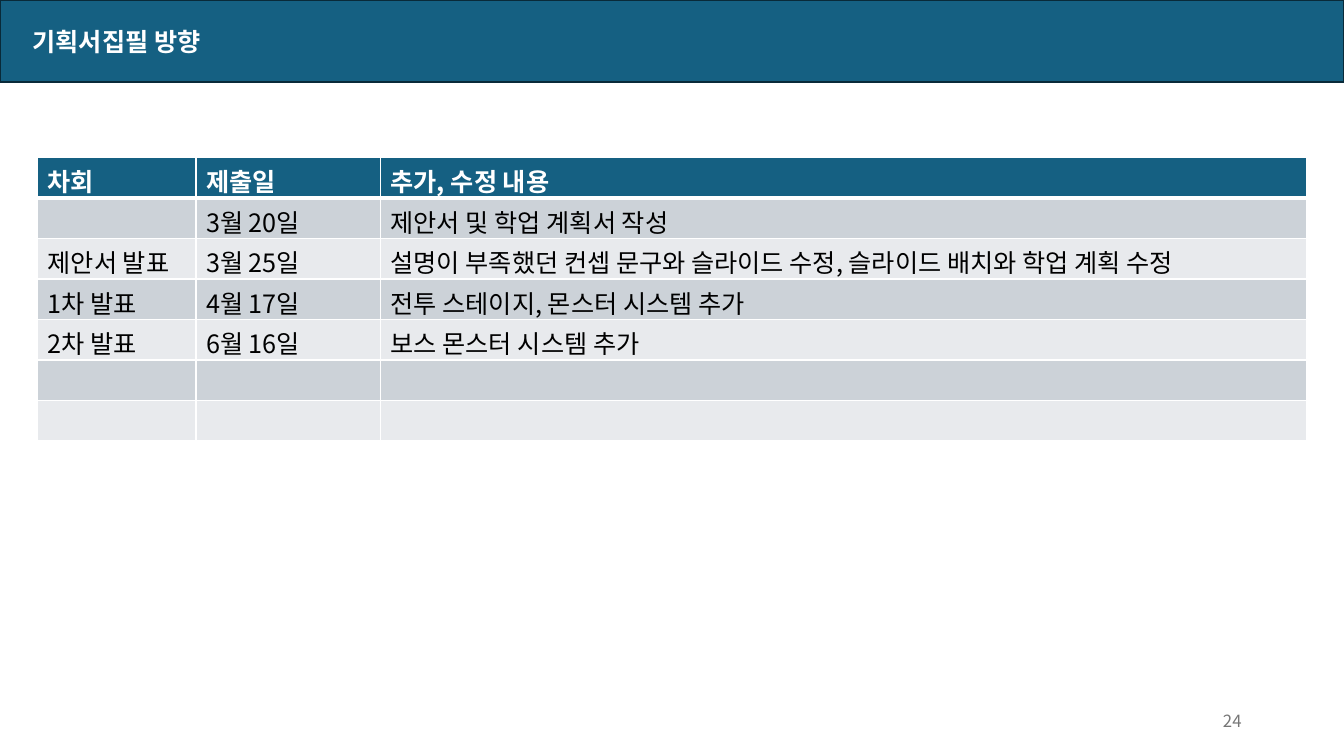
"""Build the proposal-writing direction slide with its revision table."""
from pptx import Presentation
from pptx.dml.color import RGBColor as RGB
from pptx.enum.shapes import MSO_SHAPE as SHAPE
from pptx.enum.text import MSO_ANCHOR as ANCHOR, PP_ALIGN as ALIGN
from pptx.oxml.ns import qn
from pptx.util import Cm, Pt
from lxml.etree import SubElement

FONT = "Noto Sans CJK KR"
TEAL, WHITE, BLACK = "156082", "FFFFFF", "000000"
BANDS = ["CCD2D8", "E8EAED"]


def color(value):
    return RGB.from_string(value)


def write(p, text, fill, **formats):
    if text:
        r = p.add_run()
        r.text = text
        r.font.color.rgb = color(fill)
        for name, value in formats.items():
            setattr(r.font, name, value)
        props = r.font._element
    else:
        props = SubElement(p._p, qn("a:endParaRPr"), sz=str(int(formats["size"].pt * 100)))
        SubElement(props, qn("a:latin"), typeface=FONT)
    SubElement(props, qn("a:ea"), typeface=FONT)


prs = Presentation()
prs.slide_width, prs.slide_height = Cm(33.87), Cm(19.05)
s = prs.slides.add_slide(prs.slide_layouts[6])

sp = s.shapes.add_textbox(Cm(23.92), Cm(17.66), Cm(7.62), Cm(1.01))
tf = sp.text_frame
tf.word_wrap = True
tf.vertical_anchor = ANCHOR.MIDDLE
p = tf.paragraphs[0]
p.alignment = ALIGN.RIGHT
write(p, "24", "767676", size=Pt(12), name=FONT)

sp = s.shapes.add_shape(SHAPE.RECTANGLE, 0, 0, prs.slide_width, Cm(2.07))
sp.shadow.inherit = False
sp.fill.solid()
sp.fill.fore_color.rgb = color(TEAL)
sp.line.color.rgb = color("092A39")
sp.line.width = Pt(1.5)
tf = sp.text_frame
tf.margin_left = Cm(0.82)
tf.vertical_anchor = ANCHOR.MIDDLE
p = tf.paragraphs[0]
p.alignment = ALIGN.LEFT
write(p, "기획서집필 방향", WHITE, size=Pt(18), name="Arial", bold=True)

rows = [
    ("차회", "제출일", "추가, 수정 내용"),
    ("", "3월 20일", "제안서 및 학업 계획서 작성"),
    ("제안서 발표", "3월 25일", "설명이 부족했던 컨셉 문구와 슬라이드 수정, 슬라이드 배치와 학업 계획 수정"),
    ("1차 발표", "4월 17일", "전투 스테이지, 몬스터 시스템 추가"),
    ("2차 발표", "6월 16일", "보스 몬스터 시스템 추가"),
    ("", "", ""),
    ("", "", ""),
]
widths = [3.99, 4.65, 23.34]
row_height = Cm(1.02)
table = s.shapes.add_table(len(rows), len(widths), Cm(0.95), Cm(3.97),
                           Cm(sum(widths)), row_height * len(rows)).table
for column, width in zip(table.columns, widths):
    column.width = Cm(width)

for i, row in enumerate(rows):
    table.rows[i].height = row_height
    header = i == 0
    for j, text in enumerate(row):
        cell = table.cell(i, j)
        tcPr = cell._tc.get_or_add_tcPr()
        for side in "LRTB":
            thick = (header and side == "B") or (i == 1 and side == "T")
            ln = SubElement(tcPr, qn(f"a:ln{side}"), w=str(Pt(3 if thick else 1)))
            SubElement(SubElement(ln, qn("a:solidFill")), qn("a:srgbClr"), val=WHITE)
        cell.fill.solid()
        cell.fill.fore_color.rgb = color(TEAL if header else BANDS[(i - 1) % 2])
        write(cell.text_frame.paragraphs[0], text, WHITE if header else BLACK,
              size=Pt(18), name=FONT, bold=header)

prs.save("out.pptx")
